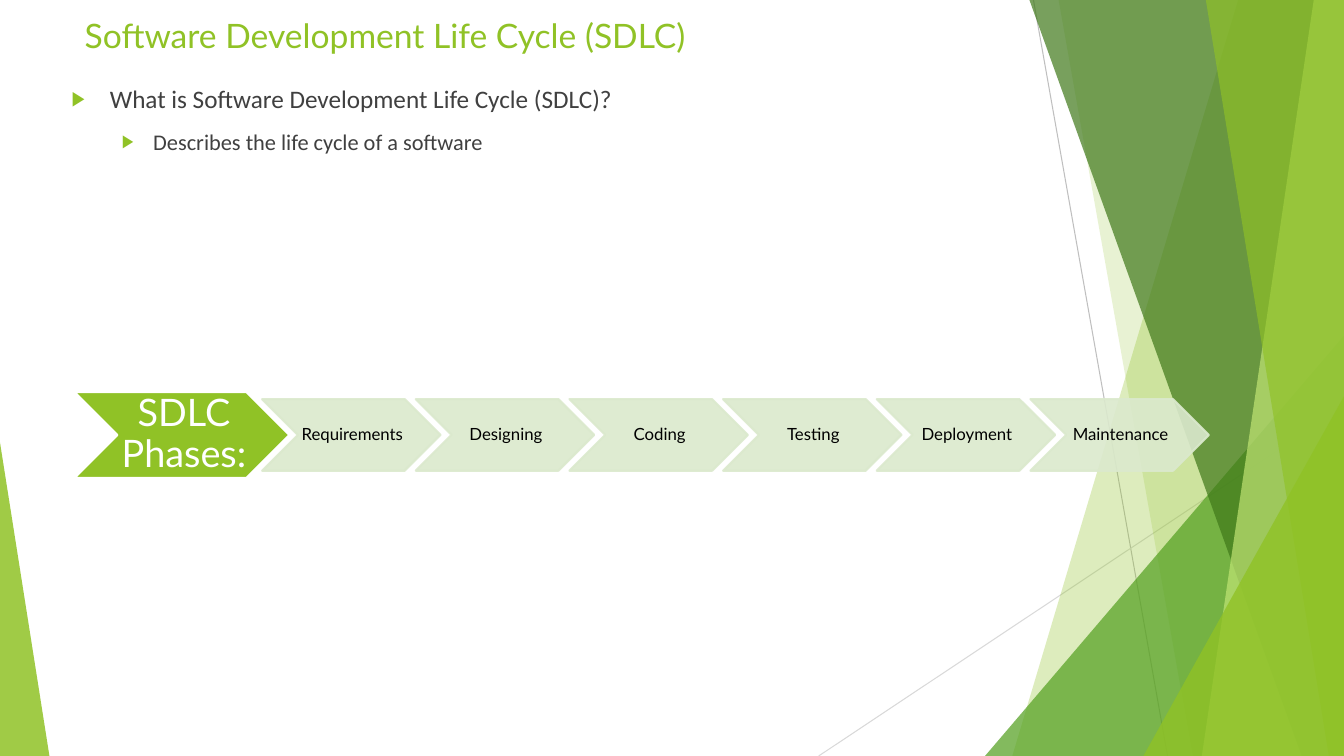
from collections import namedtuple

from lxml import etree
from pptx import Presentation
from pptx import util as u
from pptx.dml.color import RGBColor
from pptx.enum import shapes, text
from pptx.oxml import ns

COLS, ROWS = 1333, 750
SLIDE_W, SLIDE_H = u.Inches(13.33), u.Inches(7.5)

LIME = RGBColor(0x90, 0xC2, 0x26)
GREEN = RGBColor(0x54, 0xA0, 0x21)
FOREST = RGBColor(0x3F, 0x78, 0x19)
PALE_LIME = RGBColor(0xC0, 0xE4, 0x74)
MIST = RGBColor(0xDB, 0xE9, 0xCD)
RAY_GREY = RGBColor(0xBF, 0xBF, 0xBF)
LIGHT_GREY = RGBColor(0xD9, 0xD9, 0xD9)
INK = RGBColor(0x40, 0x40, 0x40)
BLACK = RGBColor(0, 0, 0)
WHITE = RGBColor(0xFF, 0xFF, 0xFF)

PHASES = ["Requirements", "Designing", "Coding", "Testing", "Deployment", "Maintenance"]

Box = namedtuple("Box", "left top width height")
TITLE_BOX = Box(74, 10, 940, 63)
BODY_BOX = Box(61, 78, 940, 102)
PHASES_BOX = Box(74, 389, 1125, 85)
FAN_BOX = Box(812, 0, 521, 750)
CORNER_BOX = Box(0, 439, 49, 311)


def col(n):
    """Turn grid columns into a slide length."""
    return round(SLIDE_W * n / COLS)


def row(n):
    """Turn grid rows into a slide length."""
    return round(SLIDE_H * n / ROWS)


def emu(box):
    """Turn a grid box into left, top, width and height."""
    return col(box.left), row(box.top), col(box.width), row(box.height)


def paint(shape, fill, opacity=100, line=None):
    """Fill and outline a shape, both with the same opacity."""
    shape.shadow.inherit = False
    shape.fill.solid()
    shape.fill.fore_color.rgb = fill
    if line is None:
        shape.line.fill.background()
    else:
        shape.line.color.rgb = line
        shape.line.width = u.Pt(1.5)
    if opacity < 100:
        for colour in shape.element.spPr.iter(ns.qn("a:srgbClr")):
            etree.SubElement(colour, ns.qn("a:alpha"), val=str(opacity * 1000))


def add_text(paragraph, words, size, font, colour):
    """Add one formatted run to a paragraph."""
    run = paragraph.add_run()
    run.text = words
    run.font.size = u.Pt(size)
    run.font.name = font
    run.font.color.rgb = colour


def add_ray(slide, start, end, colour):
    """Draw one thin line between two grid points."""
    ray = slide.shapes.add_connector(
        shapes.MSO_CONNECTOR.STRAIGHT, col(start[0]), row(start[1]), col(end[0]), row(end[1]))
    ray.line.color.rgb = colour
    ray.line.width = u.Pt(0.75)
    etree.SubElement(ray.element.spPr, ns.qn("a:effectLst"))


def add_wedge(slide, box, apex, colour, opacity):
    """Draw a triangle whose apex sits at a share of its width."""
    wedge = slide.shapes.add_shape(shapes.MSO_SHAPE.ISOSCELES_TRIANGLE, *emu(box))
    wedge.adjustments[0] = apex
    paint(wedge, colour, opacity)


def add_facet(slide, box, top_left, bottom_left, colour, opacity):
    """Draw a full-height facet from a slanted edge to the right of the box."""
    right, bottom = box.left + box.width, box.top + box.height
    corners = [(right, box.top), (right, bottom), (box.left + bottom_left, bottom)]
    outline = slide.shapes.build_freeform(col(box.left + top_left), row(box.top))
    outline.add_line_segments([(col(x), row(y)) for x, y in corners], close=True)
    paint(outline.convert_to_shape(), colour, opacity)


def add_fan(slide, box):
    """Layer the rays, facets and wedges at the right edge."""
    left, top, width, height = box
    add_ray(slide, (left + 213, top), (left + 346, top + height), RAY_GREY)
    add_ray(slide, (left + width, top + 403), (left, top + height), LIGHT_GREY)

    def wedge(x, y, colour, opacity):
        """Place a wedge in the lower right corner of the fan."""
        corner = Box(left + x, top + y, width - x, height - y)
        add_wedge(slide, corner, 1, colour, opacity)

    add_facet(slide, box, 416, 192, LIME, 30)
    add_facet(slide, box, 238, 371, LIME, 20)
    wedge(165, 333, GREEN, 72)
    add_facet(slide, box, 209, 479, FOREST, 70)
    add_facet(slide, box, 491, 380, PALE_LIME, 70)
    add_facet(slide, box, 384, 506, LIME, 65)
    wedge(322, 393, LIME, 80)


def place(holder, box):
    """Move a placeholder into its box, in front of what is drawn so far."""
    holder.element.getparent().append(holder.element)
    holder.left, holder.top, holder.width, holder.height = emu(box)
    frame = holder.text_frame
    frame.word_wrap = True
    frame.auto_size = text.MSO_AUTO_SIZE.NONE
    frame.vertical_anchor = text.MSO_ANCHOR.TOP
    return frame


def add_title(slide, box):
    """Write the slide title."""
    heading = place(slide.shapes.title, box).paragraphs[0]
    heading.alignment = text.PP_ALIGN.LEFT
    add_text(heading, "Software Development Life Cycle (SDLC)", 24, "Lato", LIME)


def add_point(paragraph, level, words, size, indent, hang):
    """Write one bulleted point at its level."""
    paragraph.level = level
    paragraph.space_before = u.Pt(10)
    add_text(paragraph, words, size, "Calibri", INK)
    props = paragraph._p.get_or_add_pPr()
    props.set("marL", str(col(indent)))
    props.set("indent", str(-col(hang)))
    bullet_colour = etree.SubElement(props, ns.qn("a:buClr"))
    etree.SubElement(bullet_colour, ns.qn("a:srgbClr"), val=str(LIME))
    etree.SubElement(props, ns.qn("a:buSzPct"), val="80000")
    etree.SubElement(props, ns.qn("a:buChar"), char="▶")


def add_body(slide, box):
    """Write the question and its answer."""
    frame = place(slide.placeholders[1], box)
    add_point(frame.paragraphs[0], 0, "What is Software Development Life Cycle (SDLC)?", 18, 38, 38)
    add_point(frame.add_paragraph(), 1, "Describes the life cycle of a software", 16, 81, 31)


def add_chevron(slide, box, words, size, ink, fill, line, opacity, inset):
    """Draw one labelled chevron."""
    chevron = slide.shapes.add_shape(shapes.MSO_SHAPE.CHEVRON, *emu(box))
    paint(chevron, fill, opacity, line)
    frame = chevron.text_frame
    frame.word_wrap = True
    frame.vertical_anchor = text.MSO_ANCHOR.MIDDLE
    frame.margin_left, frame.margin_right = col(inset), 0
    frame.margin_top = frame.margin_bottom = row(inset / 2)
    label = frame.paragraphs[0]
    label.alignment = text.PP_ALIGN.CENTER
    label.line_spacing = 0.9
    add_text(label, words, size, "Lato", ink)


def add_phases(slide, box):
    """Lay out the lead chevron and the evenly spaced phases."""
    lead = Box(box.left, box.top, 213, box.height)
    add_chevron(slide, lead, "SDLC Phases:", 27, WHITE, LIME, WHITE, 100, 4)
    first, pitch, width, height = box.left + 186, 152.4, 177, 71
    top = box.top + (box.height - height) / 2
    for i, phase in enumerate(PHASES):
        step = Box(first + i * pitch, top, width, height)
        add_chevron(slide, step, phase, 12, BLACK, MIST, MIST, 90, 2)


def main():
    """Build the slide and save it."""
    deck = Presentation()
    deck.slide_width, deck.slide_height = SLIDE_W, SLIDE_H
    slide = deck.slides.add_slide(deck.slide_layouts[1])
    add_fan(slide, FAN_BOX)
    add_wedge(slide, CORNER_BOX, 0, LIME, 85)
    add_title(slide, TITLE_BOX)
    add_phases(slide, PHASES_BOX)
    add_body(slide, BODY_BOX)
    deck.save("out.pptx")


if __name__ == "__main__":
    main()
